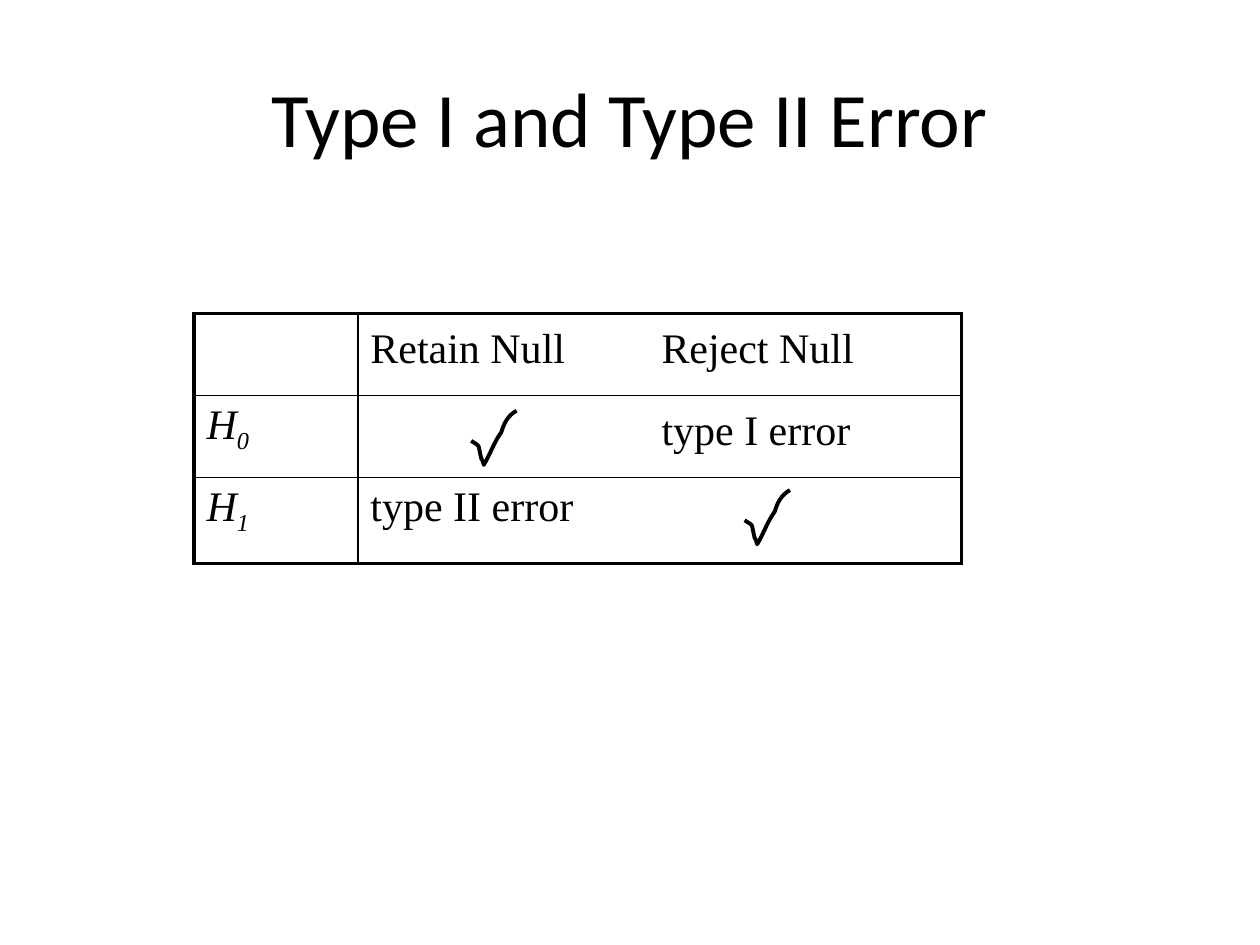
"""Build a slide with a table of type I and type II errors."""
from lxml.etree import SubElement
from pptx import Presentation
from pptx.dml.color import RGBColor
from pptx.enum.text import MSO_ANCHOR, PP_ALIGN
from pptx.oxml import parse_xml
from pptx.oxml.ns import nsdecls, qn
from pptx.util import Inches, Pt


def paint(item, code):
    item.rgb = RGBColor.from_string(code)


def edge(cell, side, width):
    line = parse_xml(
        f'<a:ln{side} {nsdecls("a")} w="{Pt(width)}"><a:solidFill>'
        f'<a:srgbClr val="{BLACK}"/></a:solidFill></a:ln{side}>')
    cell._tc.get_or_add_tcPr().insert("LRTB".index(side), line)


BLACK = "000000"
deck = Presentation()
deck.slide_width, deck.slide_height = Inches(10), Inches(7.5)
slide = deck.slides.add_slide(deck.slide_layouts[6])

title = slide.shapes.add_textbox(Inches(0.5), Inches(0.3), Inches(9), Inches(1.25))
frame = title.text_frame
frame.word_wrap = True
frame.vertical_anchor = MSO_ANCHOR.MIDDLE
para = frame.paragraphs[0]
para.text = "Type I and Type II Error"
para.alignment = PP_ALIGN.CENTER
para.font.name, para.font.size = "Calibri", Pt(44)
paint(para.font.color, BLACK)

rows = [
    [[], ["Retain Null", "\t", "Reject Null"]],
    [["H", "0"], ["\t", "type I error"]],
    [["H", "1"], ["type II error"]],
]
grid = slide.shapes.add_table(
    3, 2, Inches(1.54), Inches(2.49), Inches(6.09), Inches(1.98)).table
grid.first_row = grid.horz_banding = False
for col, width in zip(grid.columns, (1.3, 4.79)):
    col.width = Inches(width)
for row, height in zip(grid.rows, (0.65, 0.65, 0.68)):
    row.height = Inches(height)

for r, row in enumerate(rows):
    for c, parts in enumerate(row):
        cell = grid.cell(r, c)
        cell.fill.background()
        outer = {"L": c == 0, "R": c == 1, "T": r == 0, "B": r == 2}
        for side in "LRTB":
            edge(cell, side, 2.25 if outer[side] else 1)
        para = cell.text_frame.paragraphs[0]
        para.font.name, para.font.size = "Times New Roman", Pt(24)
        para.font.italic = c == 0
        paint(para.font.color, BLACK)
        if "\t" in parts:
            stops = parse_xml(
                f'<a:tabLst {nsdecls("a")}><a:tab pos="{Inches(2.31)}" algn="l"/></a:tabLst>')
            para._p.get_or_add_pPr().insert(0, stops)
        for part in parts:
            run = para.add_run()
            run.text = part
            if part == "\t":
                run.font.size = Pt(28)
            if part in ("0", "1"):
                run.font._element.set("baseline", "-25000")

start = (0, 0.24)
curves = [
    [(0.08, 0.29), (0.05, 0.26), (0.08, 0.38)],
    [(0.09, 0.39), (0.1, 0.43), (0.1, 0.43)],
    [(0.15, 0.35), (0.18, 0.25), (0.24, 0.17)],
    [(0.26, 0.1), (0.29, 0.04), (0.36, 0)],
]
points = [start]
for curve in curves:
    knots = [points[-1], *curve]
    for step in range(1, 9):
        t = step / 8
        parts = ((1 - t) ** 3, 3 * t * (1 - t) ** 2, 3 * t * t * (1 - t), t ** 3)
        points.append(tuple(
            sum(k * knot[axis] for k, knot in zip(parts, knots)) for axis in (0, 1)))

for left, top in ((3.74, 3.26), (5.91, 3.89)):
    spots = [(Inches(left + x), Inches(top + y)) for x, y in points]
    pen = slide.shapes.build_freeform(*spots[0])
    pen.add_line_segments(spots[1:], close=False)
    check = pen.convert_to_shape()
    check.shadow.inherit = False
    check.fill.background()
    check.line.width = Pt(2.25)
    paint(check.line.color, BLACK)
    SubElement(check.line._get_or_add_ln(), qn("a:round"))

deck.save("out.pptx")
